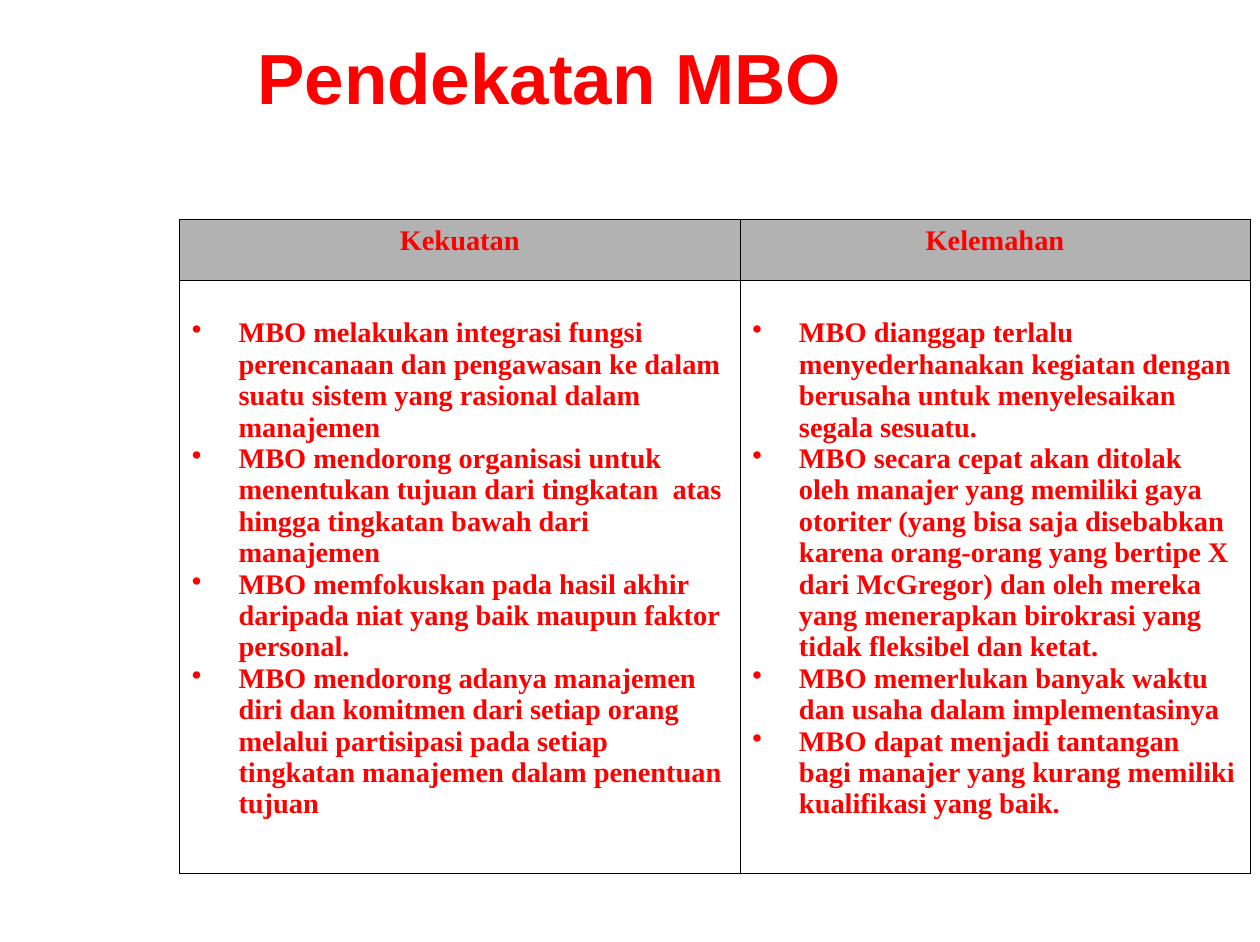
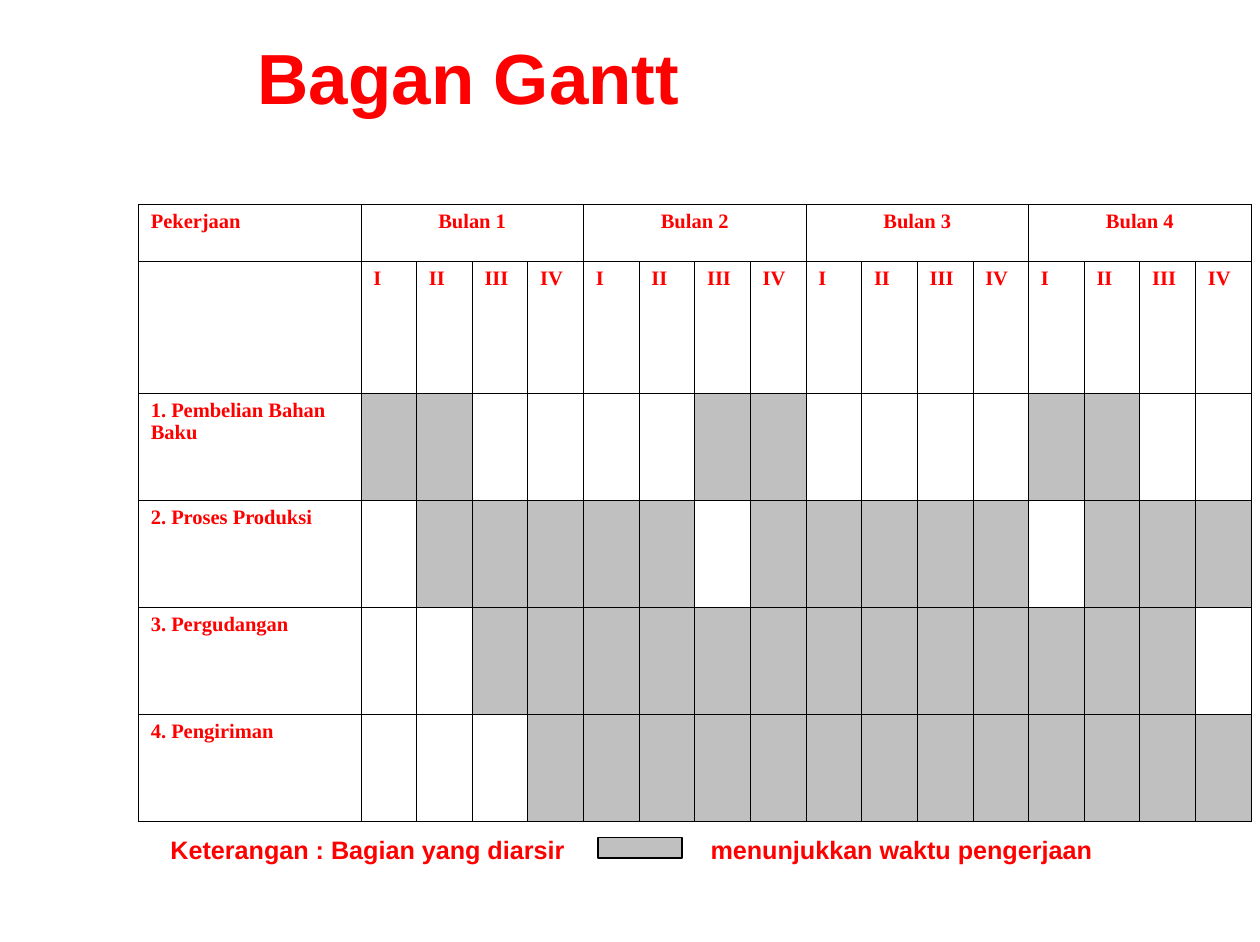
import pptx
import pptx.util
import pptx.dml.color
import pptx.enum.shapes
import pptx.enum.text
import pptx.oxml
import pptx.oxml.ns

Pt = pptx.util.Pt
RED = pptx.dml.color.RGBColor(0xFF, 0x00, 0x00)
BLACK = pptx.dml.color.RGBColor(0x00, 0x00, 0x00)
WHITE = pptx.dml.color.RGBColor(0xFF, 0xFF, 0xFF)
HEADER_GREY = pptx.dml.color.RGBColor(0xB2, 0xB2, 0xB2)
WORK_GREY = pptx.dml.color.RGBColor(0xC0, 0xC0, 0xC0)
LEFT = pptx.enum.text.PP_ALIGN.LEFT
CENTER = pptx.enum.text.PP_ALIGN.CENTER
HANGING = Pt(29.5)


def add_text(paragraph, text, size, font_name, align=LEFT):
    paragraph.alignment = align
    run = paragraph.add_run()
    run.text = text
    run.font.size = Pt(size)
    run.font.name = font_name
    run.font.bold = True
    run.font.color.rgb = RED


def add_grid(slide, left, top, widths, heights):
    grid = slide.shapes.add_table(
        len(heights), len(widths), Pt(left), Pt(top), Pt(sum(widths)), Pt(sum(heights))
    ).table
    grid.first_row = False
    grid.horz_banding = False
    for column, width in zip(grid.columns, widths):
        column.width = Pt(width)
    for row, height in zip(grid.rows, heights):
        row.height = Pt(height)
    for cell in grid.iter_cells():
        cell.margin_left = cell.margin_right = Pt(7.9)
        cell.margin_top = cell.margin_bottom = Pt(3.6)
        properties = cell._tc.get_or_add_tcPr()
        for side in ("lnL", "lnR", "lnT", "lnB"):
            properties.append(pptx.oxml.parse_xml(
                f'<a:{side} {pptx.oxml.ns.nsdecls("a")} w="{Pt(0.45)}">'
                f'<a:solidFill><a:srgbClr val="{BLACK}"/></a:solidFill></a:{side}>'
            ))
        cell.fill.solid()
        cell.fill.fore_color.rgb = WHITE
    return grid


deck = pptx.Presentation()
deck.slide_width = Pt(799.2)
deck.slide_height = Pt(597.6)

slides = []
for heading in ("Pendekatan MBO", "Bagan Gantt"):
    slide = deck.slides.add_slide(deck.slide_layouts[5])
    title = slide.shapes.title
    title.left, title.top, title.width, title.height = Pt(156.2), Pt(12.2), Pt(606), Pt(72)
    title.text_frame.vertical_anchor = pptx.enum.text.MSO_ANCHOR.MIDDLE
    add_text(title.text_frame.paragraphs[0], heading, 45, "Arial")
    slides.append(slide)
mbo_slide, gantt_slide = slides

assessment = {
    "Kekuatan": [
        "MBO melakukan integrasi fungsi perencanaan dan pengawasan ke dalam suatu sistem yang rasional dalam manajemen",
        "MBO mendorong organisasi untuk menentukan tujuan dari tingkatan  atas hingga tingkatan bawah dari manajemen",
        "MBO memfokuskan pada hasil akhir daripada niat yang baik maupun faktor personal.",
        "MBO mendorong adanya manajemen diri dan komitmen dari setiap orang melalui partisipasi pada setiap tingkatan manajemen dalam penentuan tujuan",
    ],
    "Kelemahan": [
        "MBO dianggap terlalu menyederhanakan kegiatan dengan berusaha untuk menyelesaikan segala sesuatu.",
        "MBO secara cepat akan ditolak oleh manajer yang memiliki gaya otoriter (yang bisa saja disebabkan karena orang-orang yang bertipe X dari McGregor) dan oleh mereka yang menerapkan birokrasi yang tidak fleksibel dan ketat.",
        "MBO memerlukan banyak waktu dan usaha dalam implementasinya",
        "MBO dapat menjadi tantangan bagi manajer yang kurang memiliki kualifikasi yang baik.",
    ],
}
assessment_grid = add_grid(mbo_slide, 113.9, 139.2, [355.5, 323.5], [38.7, 376.2])
for column, (heading, points) in enumerate(assessment.items()):
    header = assessment_grid.cell(0, column)
    header.fill.fore_color.rgb = HEADER_GREY
    add_text(header.text_frame.paragraphs[0], heading, 18, "Times New Roman", CENTER)
    body = assessment_grid.cell(1, column)
    body.margin_top = Pt(23.5)
    for index, point in enumerate(points):
        frame = body.text_frame
        paragraph = frame.add_paragraph() if index else frame.paragraphs[0]
        indents = paragraph._p.get_or_add_pPr()
        indents.set("marL", str(HANGING))
        indents.set("indent", str(-HANGING))
        for bullet in (f'buClr {pptx.oxml.ns.nsdecls("a")}><a:srgbClr val="{RED}"/></a:buClr',
                       f'buChar {pptx.oxml.ns.nsdecls("a")} char="•"/'):
            indents.append(pptx.oxml.parse_xml(f"<a:{bullet}>"))
        add_text(paragraph, point, 18, "Times New Roman")

weeks = ["I", "II", "III", "IV"]
month_count = 4
schedule = {
    "1. Pembelian Bahan Baku": [1, 2, 7, 8, 13, 14],
    "2. Proses Produksi": [2, 3, 4, 5, 6, 8, 9, 10, 11, 12, 14, 15, 16],
    "3. Pergudangan": range(3, 16),
    "4. Pengiriman": range(4, 17),
}
gantt = add_grid(
    gantt_slide, 87.8, 129.8,
    [141.1] + [35.3] * (month_count * len(weeks)),
    [36.2, 83.7] + [67.9] * len(schedule),
)
add_text(gantt.cell(0, 0).text_frame.paragraphs[0], "Pekerjaan", 13, "Times New Roman")
for month in range(month_count):
    first = 1 + month * len(weeks)
    month_cell = gantt.cell(0, first)
    month_cell.merge(gantt.cell(0, first + len(weeks) - 1))
    add_text(month_cell.text_frame.paragraphs[0], f"Bulan {month + 1}", 13, "Times New Roman", CENTER)
    for offset, week in enumerate(weeks):
        add_text(gantt.cell(1, first + offset).text_frame.paragraphs[0], week, 13, "Times New Roman")
for row, (job, busy_weeks) in enumerate(schedule.items(), start=2):
    add_text(gantt.cell(row, 0).text_frame.paragraphs[0], job, 13, "Times New Roman")
    for week in busy_weeks:
        gantt.cell(row, week).fill.fore_color.rgb = WORK_GREY

for left, width, wording in ((100.2, 270, "Keterangan : Bagian yang diarsir"),
                             (442.8, 270, "menunjukkan waktu pengerjaan")):
    legend = gantt_slide.shapes.add_textbox(Pt(left), Pt(525), Pt(width), Pt(27.4)).text_frame
    legend.word_wrap = True
    legend.margin_left = legend.margin_right = Pt(7.9)
    legend.margin_top = legend.margin_bottom = Pt(4.3)
    add_text(legend.paragraphs[0], wording, 16, "Arial")

swatch = gantt_slide.shapes.add_shape(
    pptx.enum.shapes.MSO_SHAPE.RECTANGLE, Pt(379.5), Pt(531.4), Pt(53.3), Pt(13)
)
swatch.shadow.inherit = False
swatch.fill.solid()
swatch.fill.fore_color.rgb = WORK_GREY
swatch.line.color.rgb = BLACK
swatch.line.width = Pt(1)

deck.save("out.pptx")
